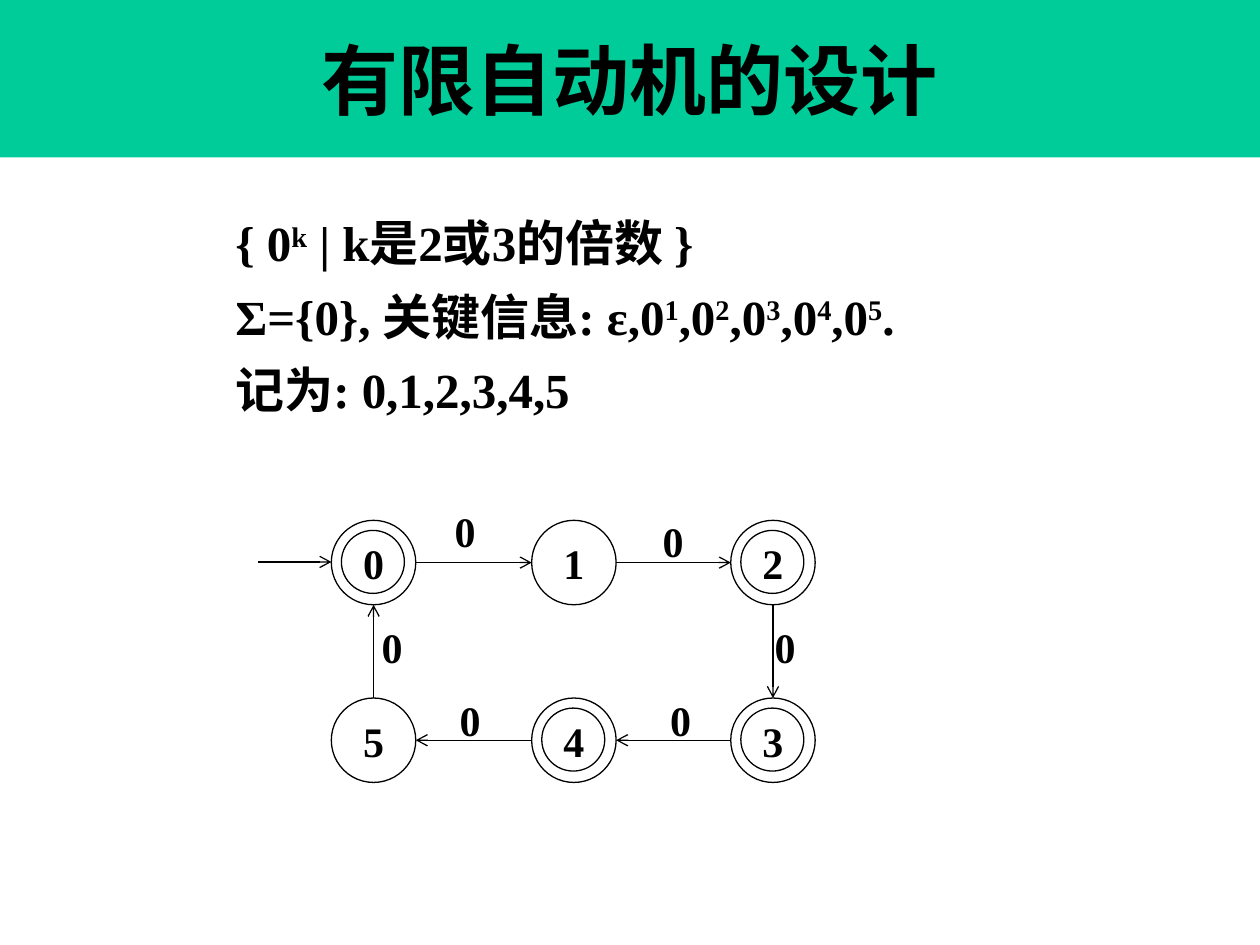
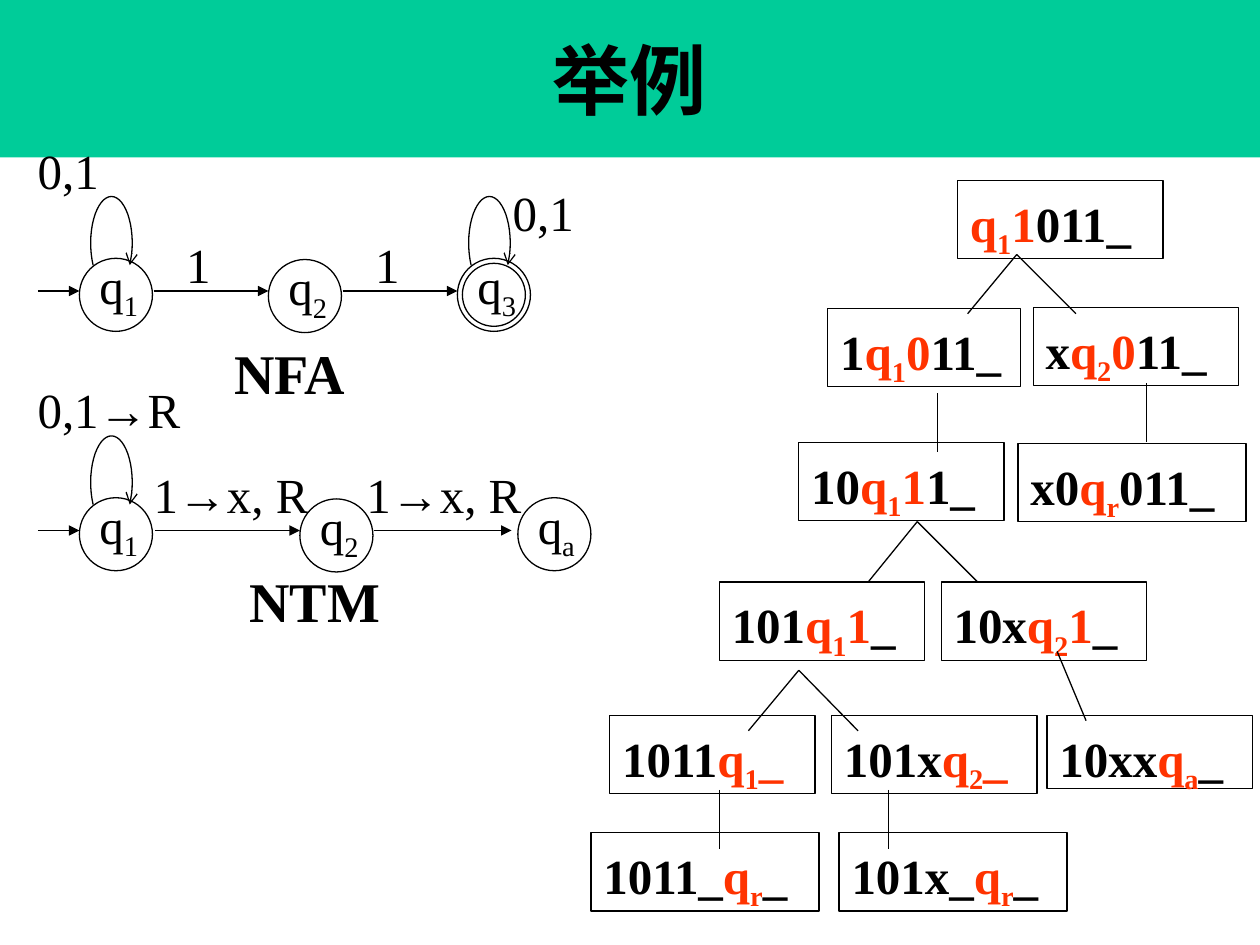
from itertools import groupby
from math import asin, cos, pi, sin

from lxml import etree
from pptx import Presentation
from pptx.dml.color import RGBColor
from pptx.enum.shapes import MSO_CONNECTOR, MSO_SHAPE
from pptx.enum.text import MSO_ANCHOR, MSO_AUTO_SIZE, PP_ALIGN
from pptx.oxml.ns import qn
from pptx.util import Pt

PX = 9144
FONT = "Times New Roman"
BLACK = RGBColor(0x00, 0x00, 0x00)
GREEN = RGBColor(0x00, 0xCC, 0x99)
RED = RGBColor(0xFF, 0x33, 0x00)
OVAL, RECT = MSO_SHAPE.OVAL, MSO_SHAPE.RECTANGLE
STRAIGHT = MSO_CONNECTOR.STRAIGHT
MIDDLE = MSO_ANCHOR.MIDDLE
TOP = MSO_ANCHOR.TOP
LEFT, CENTER = PP_ALIGN.LEFT, PP_ALIGN.CENTER
GROW = MSO_AUTO_SIZE.SHAPE_TO_FIT_TEXT
SCRIPTS = {"^": "30000", "~": "-25000"}

STATE = 67
STATE_LEFTS = (263, 422, 580)
STATE_TOPS = (413, 554)
STATES = {"0": (0, 0), "1": (1, 0), "2": (2, 0),
          "3": (2, 1), "4": (1, 1), "5": (0, 1)}
ACCEPTING = "0234"
ZERO_LABELS = [(351, 396), (516, 404), (605, 488),
               (522, 546), (355, 546), (293, 488)]

TREE_BOXES = [
    (760, 143, 163, 62, "<q~11>011_"),
    (657, 245, 153, 62, "1<q~10>11_"),
    (820, 244, 163, 62, "x<q~20>11_"),
    (634, 351, 163, 62, "10<q~11>1_"),
    (808, 352, 181, 62, "x0<q~r>011_"),
    (571, 462, 163, 62, "101<q~11>_"),
    (747, 462, 163, 62, "10x<q~21>_"),
    (484, 568, 163, 62, "1011<q~1_>"),
    (660, 568, 163, 62, "101x<q~2_>"),
    (831, 568, 163, 58, "10xx<q~a>_"),
    (469, 661, 181, 62, "1011_<q~r>_"),
    (666, 661, 181, 62, "101x_<q~r>_"),
]
BRANCHES = [
    (807, 202, 768, 249), (807, 202, 854, 249),
    (744, 312, 744, 359), (910, 304, 910, 351),
    (728, 414, 689, 462), (728, 414, 776, 462),
    (634, 532, 594, 580), (634, 532, 681, 580),
    (839, 517, 862, 572),
    (571, 627, 571, 674), (705, 627, 705, 674),
]


def styled_runs(markup):
    color, script, chars = BLACK, None, []
    for ch in markup:
        if ch in "<>":
            color = RED if ch == "<" else BLACK
        elif ch in SCRIPTS:
            script = SCRIPTS[ch]
        else:
            chars.append((ch, (color, script)))
            script = None
    for style, group in groupby(chars, key=lambda item: item[1]):
        yield "".join(ch for ch, _ in group), style


def write(p, markup, size, bold):
    for text, (color, script) in styled_runs(markup):
        r = p.add_run()
        r.text = text
        r.font.name = FONT
        r.font.size = Pt(size)
        r.font.bold = bold
        r.font.color.rgb = color
        if script:
            r.font._element.set("baseline", script)


def outline(shape):
    shape.line.color.rgb = BLACK
    shape.line.width = Pt(0.75)


def add_arrowhead(shape, kind):
    etree.SubElement(shape.line._get_or_add_ln(), qn("a:tailEnd"), type=kind)


def box(s, kind, left, top, width, height):
    sp = s.shapes.add_shape(kind, *(v * PX for v in (left, top, width, height)))
    sp.shadow.inherit = False
    sp.fill.background()
    outline(sp)
    return sp


def circle(s, left, top, size):
    return box(s, OVAL, left, top, size, size)


def label(s, left, top, width, height, *lines, size=28, bold=False):
    sp = s.shapes.add_textbox(*(v * PX for v in (left, top, width, height)))
    tf = sp.text_frame
    tf.word_wrap = False
    tf.auto_size = GROW
    for i, markup in enumerate(lines):
        p = tf.add_paragraph() if i else tf.paragraphs[0]
        if i:
            p.space_before = Pt(8.4)
        write(p, markup, size, bold)


def line(s, x1, y1, x2, y2, head=None):
    c = s.shapes.add_connector(STRAIGHT, *(round(v * PX) for v in (x1, y1, x2, y2)))
    outline(c)
    if head:
        add_arrowhead(c, head)
    etree.SubElement(c._element.spPr, qn("a:effectLst"))


def title_slide(prs, title):
    s = prs.slides.add_slide(prs.slide_layouts[6])
    band = box(s, RECT, 0, 0, 1000, 125)
    band.fill.solid()
    band.fill.fore_color.rgb = GREEN
    band.line.fill.background()
    tf = band.text_frame
    tf.vertical_anchor = MIDDLE
    tf.paragraphs[0].alignment = CENTER
    write(tf.paragraphs[0], title, 44, True)
    return s


def state(s, name):
    col, row = STATES[name]
    left, top = STATE_LEFTS[col], STATE_TOPS[row]
    sp = circle(s, left, top, STATE)
    tf = sp.text_frame
    tf.margin_left = tf.margin_right = tf.margin_top = tf.margin_bottom = 0
    tf.vertical_anchor = MIDDLE
    tf.word_wrap = False
    tf.paragraphs[0].alignment = CENTER
    write(tf.paragraphs[0], name, 24, True)
    if name in ACCEPTING:
        circle(s, left + 8, top + 8, 50)


def transition(s, start, end):
    (c1, r1), (c2, r2) = STATES[start], STATES[end]
    dx, dy = (c2 > c1) - (c2 < c1), (r2 > r1) - (r2 < r1)
    half = STATE / 2
    line(s, STATE_LEFTS[c1] + half * (1 + dx), STATE_TOPS[r1] + half * (1 + dy),
         STATE_LEFTS[c2] + half * (1 - dx), STATE_TOPS[r2] + half * (1 - dy), "arrow")


def self_loop(s, left, top):
    cx, cy, rx, ry, steps = left + 25.5, top - 12, 16.5, 37, 32
    dip = asin(17.5 / ry)
    angles = [pi - dip + (pi + 2 * dip) * i / steps for i in range(steps + 1)]
    points = [((cx + rx * cos(a)) * PX, (cy + ry * sin(a)) * PX) for a in angles]
    builder = s.shapes.build_freeform(*points[0], scale=1.0)
    builder.add_line_segments(points[1:], close=False)
    sp = builder.convert_to_shape()
    sp.shadow.inherit = False
    sp.fill.background()
    outline(sp)
    add_arrowhead(sp, "arrow")


def machine(s, top, lefts, names, arrows, looped):
    for i, (left, name) in enumerate(zip(lefts, names)):
        y = top + i % 2
        circle(s, left, y, 58)
        label(s, left + 6, y - 7, 53, 57, name)
    for x1, x2 in arrows:
        line(s, x1, top + 26, x2, top + 26, "triangle")
    for left in looped:
        self_loop(s, left, top)


def tree_box(s, left, top, width, height, markup):
    tf = box(s, RECT, left, top, width, height).text_frame
    tf.word_wrap = False
    tf.auto_size = GROW
    tf.vertical_anchor = TOP
    p = tf.paragraphs[0]
    p.alignment = LEFT
    p.line_spacing = 1.1
    write(p, markup, 28, True)


def design_slide(prs):
    s = title_slide(prs, "有限自动机的设计")
    label(s, 177, 164, 576, 180,
          "{ 0^k | k是2或3的倍数 }",
          "Σ={0}, 关键信息: ε,0^1,0^2,0^3,0^4,0^5.",
          "记为: 0,1,2,3,4,5", bold=True)
    names = list(STATES)
    for name in names:
        state(s, name)
    line(s, 205, 446, STATE_LEFTS[0], 446, "arrow")
    for start, end in zip(names, names[1:] + names[:1]):
        transition(s, start, end)
    for left, top in ZERO_LABELS:
        label(s, left, top, 45, 50, "0", size=24, bold=True)


def example_slide(prs):
    s = title_slide(prs, "举例")
    machine(s, 205, (63, 213, 363), ("q~1", "q~2", "q~3"),
            [(30, 63), (122, 213), (272, 363)], (63, 363))
    circle(s, 367, 209, 50)
    label(s, 20, 107, 69, 57, "0,1")
    label(s, 397, 140, 69, 57, "0,1")
    for left in (138, 288):
        label(s, left, 181, 40, 57, "1")
    label(s, 176, 264, 111, 63, "NFA", size=32, bold=True)

    machine(s, 395, (63, 238, 411), ("q~1", "q~2", "q~a"),
            [(30, 63), (123, 238), (297, 406)], (63,))
    label(s, 20, 296, 143, 57, "0,1→R")
    for left in (112, 281):
        label(s, left, 364, 152, 57, "1→x, R")
    label(s, 188, 445, 124, 63, "NTM", size=32, bold=True)

    for node in TREE_BOXES:
        tree_box(s, *node)
    for branch in BRANCHES:
        line(s, *branch)


def main():
    prs = Presentation()
    prs.slide_width, prs.slide_height = 1000 * PX, 750 * PX
    design_slide(prs)
    example_slide(prs)
    prs.save("out.pptx")


if __name__ == "__main__":
    main()
